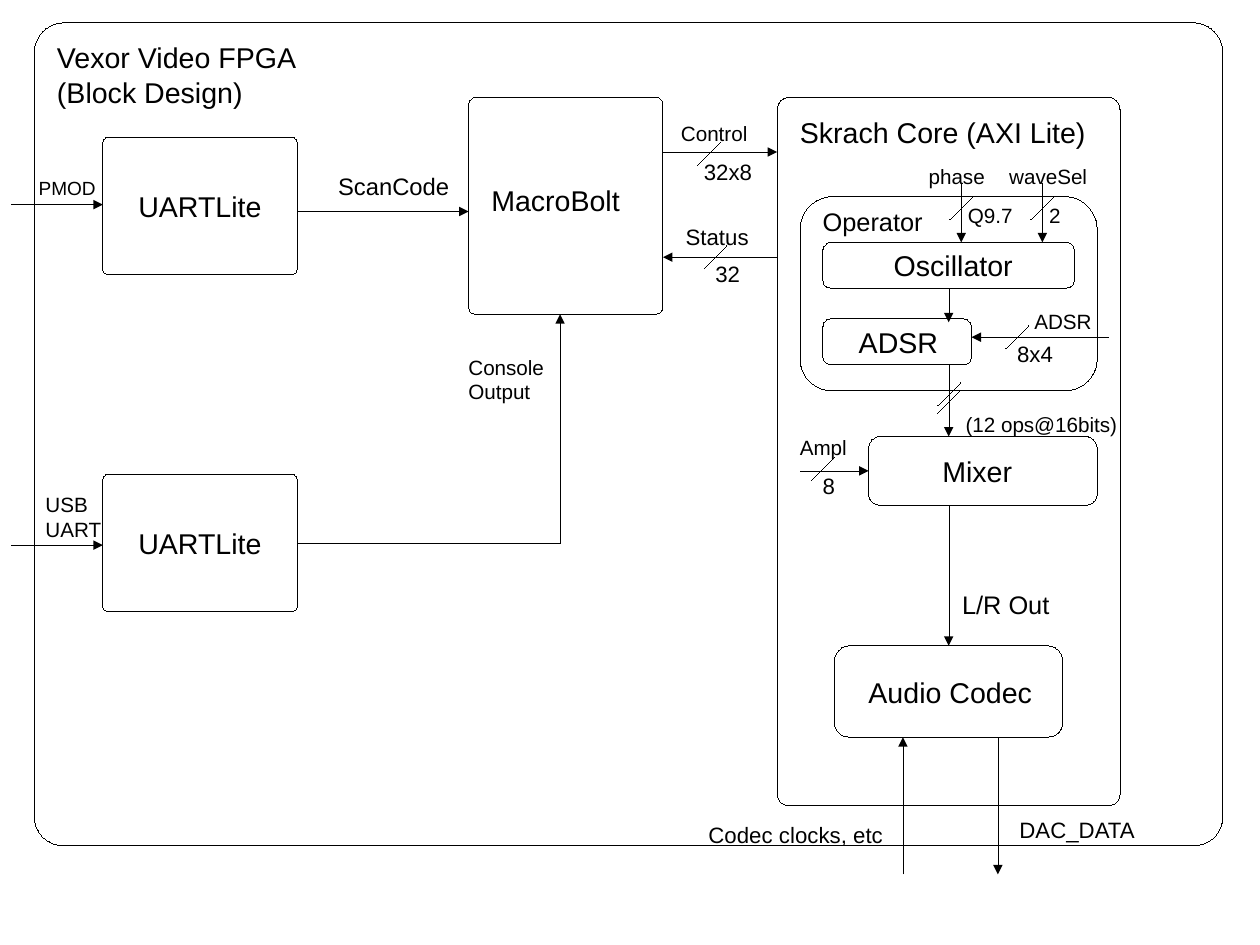
from typing import NamedTuple

from lxml import etree
from pptx import Presentation
from pptx import util as u
from pptx.dml.color import RGBColor
from pptx.enum import shapes, text
from pptx.oxml import ns

BLACK = RGBColor(0, 0, 0)
FONT = "Arial"
HAIRLINE = "0"
GRID_CM = 2.54  # one grid unit in centimetres
SLASH_REACH = 0.1
LEFT, CENTER = text.PP_ALIGN.LEFT, text.PP_ALIGN.CENTER


class Block(NamedTuple):
    left: float
    top: float
    width: float
    height: float
    rounding: float
    caption: str = ""


class Label(NamedTuple):
    caption: str
    left: float
    top: float
    width: float
    height: float
    size: float = 13
    align: text.PP_ALIGN = LEFT


class Arrow(NamedTuple):
    start_x: float
    start_y: float
    end_x: float
    end_y: float


BLOCKS = [
    Block(0.3, 0.2, 10.4, 7.2, 0.036),  # whole board
    Block(4.1, 0.85, 1.7, 1.9, 0.036),  # processor
    Block(6.8, 0.85, 3, 6.2, 0.036),  # synthesizer core
    Block(7, 1.72, 2.6, 1.7, 0.167),  # operator
    Block(7.2, 2.12, 2.2, 0.4, 0.167),  # oscillator
    Block(7.2, 2.79, 1.3, 0.4, 0.167),  # envelope
    Block(7.6, 3.82, 2, 0.6, 0.167),  # mixer
    Block(7.3, 5.65, 2, 0.8, 0.167),  # audio codec
    Block(0.9, 1.2, 1.7, 1.2, 0.036, "UARTLite"),
    Block(0.9, 4.15, 1.7, 1.2, 0.036, "UARTLite"),
]

LABELS = [
    # Block names
    Label("MacroBolt", 4.2, 1.55, 1.5, 0.4, 18),
    Label("Skrach Core (AXI Lite)", 6.9, 0.95, 2.8, 0.38, 18),
    Label("Operator", 7.1, 1.75, 1.6, 0.38, 16),
    Label("Oscillator", 7.7, 2.12, 1.28, 0.4, 18, CENTER),
    Label("ADSR", 7.22, 2.79, 1.28, 0.4, 18, CENTER),
    Label("Mixer", 8.1, 3.92, 0.9, 0.4, 18, CENTER),
    Label("Audio Codec", 7.5, 5.85, 1.7, 0.4, 18),
    # Signal names
    Label("PMOD", 0.24, 1.49, 0.7, 0.29, 12),
    Label("USB\vUART", 0.3, 4.25, 0.7, 0.52),
    Label("ScanCode", 2.86, 1.45, 1.2, 0.33, 15),
    Label("Console Output", 4, 3.05, 0.9, 0.5),
    Label("Control", 5.86, 1.01, 0.8, 0.3),
    Label("Status", 5.9, 1.9, 0.8, 0.32, 14),
    Label("phase", 8, 1.38, 0.74, 0.32, 13, CENTER),
    Label("waveSel", 8.7, 1.38, 0.94, 0.3, 13, CENTER),
    Label("ADSR", 8.9, 2.65, 0.8, 0.3, 13, CENTER),
    Label("(12 ops@16bits)", 8.26, 3.55, 1.7, 0.35, 13, CENTER),
    Label("Ampl", 6.9, 3.75, 0.7, 0.3),
    Label("L/R Out", 8.3, 5.1, 1, 0.35, 16, CENTER),
    Label("Codec clocks, etc", 6.1, 7.13, 1.8, 0.32, 14),
    Label("DAC_DATA", 8.82, 7.09, 1.3, 0.32, 14),
    # Bus widths
    Label("32x8", 6.06, 1.33, 0.74, 0.32, 14),
    Label("32", 6.16, 2.23, 0.44, 0.32, 14),
    Label("Q9.7", 8.37, 1.72, 0.92, 0.3),
    Label("2", 9.08, 1.72, 0.22, 0.3),
    Label("8x4", 8.8, 2.93, 0.6, 0.32, 14),
    Label("8", 7.1, 4.08, 0.44, 0.32, 14),
]

ARROWS = [
    Arrow(0.1, 1.79, 0.9, 1.79),  # keyboard input
    Arrow(0.1, 4.77, 0.9, 4.77),  # serial input
    Arrow(2.6, 1.85, 4.1, 1.85),  # scan code
    Arrow(5.8, 1.33, 6.8, 1.33),  # control
    Arrow(6.8, 2.25, 5.8, 2.25),  # status
    Arrow(8.41, 1.6, 8.41, 2.12),  # phase
    Arrow(9.12, 1.6, 9.12, 2.12),  # wave selection
    Arrow(8.3, 2.52, 8.3, 2.82),  # oscillator to envelope
    Arrow(9.7, 2.95, 8.5, 2.95),  # envelope settings
    Arrow(8.3, 3.19, 8.3, 3.82),  # envelope to mixer
    Arrow(7, 4.12, 7.6, 4.12),  # amplitude
    Arrow(8.3, 4.42, 8.3, 5.65),  # mixer to codec
    Arrow(7.9, 7.65, 7.9, 6.45),  # codec clocks
    Arrow(8.73, 6.45, 8.73, 7.65),  # converter data
]

CONSOLE_ROUTE = [(2.6, 4.75), (4.9, 4.75), (4.9, 2.75)]

BUS_SLASHES = [
    (6.2, 1.35), (6.26, 2.25), (8.41, 1.82), (9.12, 1.82),
    (8.9, 2.95), (8.3, 3.45), (8.3, 3.52), (7.2, 4.1),
]


def grid(*values: float) -> list[u.Length]:
    return [u.Cm(GRID_CM * value) for value in values]


def write_text(frame, content: str, *, size: float = 18, align=LEFT,
               anchor=text.MSO_ANCHOR.TOP, wrap: bool = True,
               auto_size=text.MSO_AUTO_SIZE.SHAPE_TO_FIT_TEXT) -> None:
    frame.text = content
    frame.word_wrap = wrap
    frame.auto_size = auto_size
    frame.vertical_anchor = anchor
    frame.margin_left = frame.margin_right = u.Cm(0.25)
    frame.margin_top = frame.margin_bottom = u.Cm(0.13)
    for paragraph in frame.paragraphs:
        paragraph.alignment = align
        for run in paragraph.runs:
            run.font.name = FONT
            run.font.size = u.Pt(size)
            run.font.color.rgb = BLACK


def style_line(shape, arrowhead: bool = False) -> None:
    shape.line.color.rgb = BLACK
    outline = shape.element.spPr.find(ns.qn("a:ln"))
    outline.set("w", HAIRLINE)  # a zero width must be stated to override the theme
    if arrowhead:
        etree.SubElement(outline, ns.qn("a:tailEnd"), type="triangle")


def draw_block(slide, block: Block) -> None:
    shape = slide.shapes.add_shape(
        shapes.MSO_SHAPE.ROUNDED_RECTANGLE,
        *grid(block.left, block.top, block.width, block.height))
    shape.adjustments[0] = block.rounding
    shape.shadow.inherit = False
    shape.fill.background()
    style_line(shape)
    if block.caption:
        write_text(shape.text_frame, block.caption, align=CENTER, wrap=False,
                   anchor=text.MSO_ANCHOR.MIDDLE, auto_size=text.MSO_AUTO_SIZE.NONE)


def draw_label(slide, label: Label) -> None:
    box = slide.shapes.add_textbox(
        *grid(label.left, label.top, label.width, label.height))
    write_text(box.text_frame, label.caption, size=label.size, align=label.align)


def draw_line(slide, line: Arrow, arrowhead: bool = True) -> None:
    connector = slide.shapes.add_connector(shapes.MSO_CONNECTOR.STRAIGHT, *grid(*line))
    style_line(connector, arrowhead)
    etree.SubElement(connector.element.spPr, ns.qn("a:effectLst"))


def draw_route(slide, points: list[tuple[float, float]]) -> None:
    start, *corners = [tuple(grid(*point)) for point in points]
    builder = slide.shapes.build_freeform(*start)
    builder.add_line_segments(corners, close=False)
    route = builder.convert_to_shape()
    route.shadow.inherit = False
    route.fill.background()
    style_line(route, arrowhead=True)


def main() -> None:
    presentation = Presentation()
    presentation.slide_width, presentation.slide_height = u.Cm(28), u.Cm(21)
    slide = presentation.slides.add_slide(presentation.slide_layouts[5])

    # Title
    title = slide.shapes.title
    title.left, title.top, title.width, title.height = grid(0.4, 0.3, 2.7, 0.66)
    write_text(title.text_frame, "Vexor Video FPGA\n(Block Design)")

    # Blocks and signal paths
    for block in BLOCKS:
        draw_block(slide, block)
    for arrow in ARROWS:
        draw_line(slide, arrow)
    draw_route(slide, CONSOLE_ROUTE)
    for x, y in BUS_SLASHES:
        slash = Arrow(x - SLASH_REACH, y + SLASH_REACH, x + SLASH_REACH, y - SLASH_REACH)
        draw_line(slide, slash, arrowhead=False)

    # Labels
    for label in LABELS:
        draw_label(slide, label)

    presentation.save("out.pptx")


if __name__ == "__main__":
    main()
